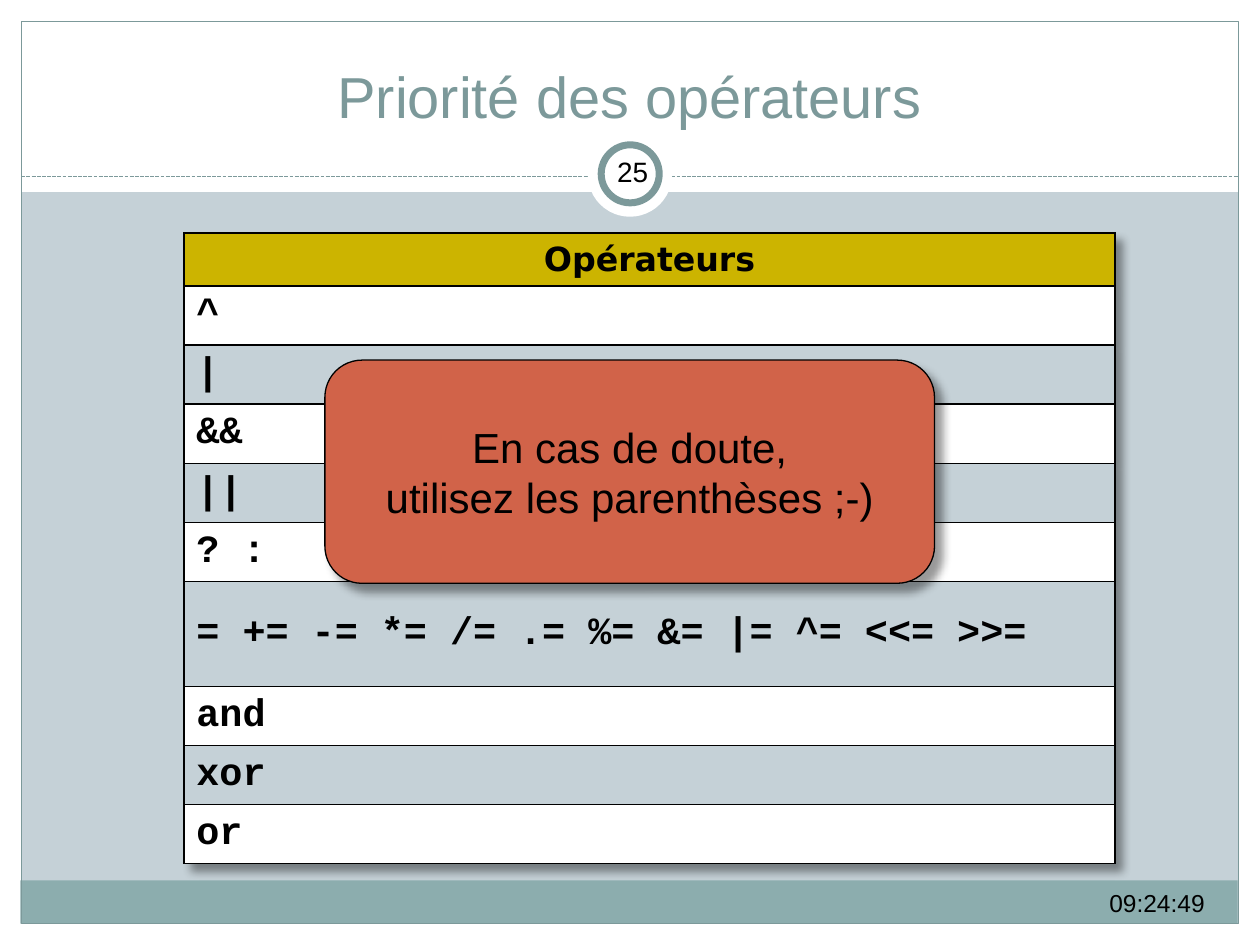
from lxml import etree
from pptx import Presentation
from pptx import util as u
from pptx.dml.color import RGBColor
from pptx.enum import dml, shapes, text
from pptx.oxml import parse_xml
from pptx.oxml.ns import nsdecls, qn

Cm, Pt = u.Cm, u.Pt
kind = shapes.MSO_SHAPE
mid = text.MSO_ANCHOR.MIDDLE
left, mid_al, right = text.PP_ALIGN.LEFT, text.PP_ALIGN.CENTER, text.PP_ALIGN.RIGHT
hues = {"white": "FFFFFF", "black": "000000", "mist": "C5D1D7", "teal": "7C999A",
        "band": "8CADAE", "gold": "CCB400", "brick": "D16349"}
rgb = {name: RGBColor.from_string(code) for name, code in hues.items()}


def write(frame, words, size=16, font="Arial", hue="black", bold=False,
          align=mid_al, anchor=mid):
    frame.word_wrap = True
    frame.vertical_anchor = anchor
    for i, line in enumerate(words.split("\n")):
        para = frame.paragraphs[0] if i == 0 else frame.add_paragraph()
        para.alignment = align
        run = para.add_run()
        run.text = line
        run.font.size, run.font.name, run.font.bold = Pt(size), font, bold
        run.font.color.rgb = rgb[hue]


def draw(form, x, y, w, h, fill=None, line=None, width=0.75):
    shape = slide.shapes.add_shape(form, Cm(x), Cm(y), Cm(w), Cm(h))
    shape.shadow.inherit = False
    if fill:
        shape.fill.solid()
        shape.fill.fore_color.rgb = rgb[fill]
    else:
        shape.fill.background()
    if line:
        shape.line.color.rgb = rgb[line]
        shape.line.width = Pt(width)
    else:
        shape.line.fill.background()
    return shape


deck = Presentation()
deck.slide_width, deck.slide_height = Cm(25.4), Cm(19.05)
slide = deck.slides.add_slide(deck.slide_layouts[6])
slide.background.fill.solid()
slide.background.fill.fore_color.rgb = rgb["mist"]

# White margins, footer band and frame
for x, y, w, h in [(0, 18.62, 25.4, 0.43), (0, 0, 25.4, 3.87),
                   (0, 0, 0.43, 19.05), (24.97, 0, 0.43, 19.05)]:
    draw(kind.RECTANGLE, x, y, w, h, "white")
draw(kind.RECTANGLE, 0.41, 17.75, 24.54, 0.87, "band")
draw(kind.RECTANGLE, 0.43, 0.43, 24.54, 18.19, line="teal")

# Dashed rule under the title
rule = slide.shapes.add_connector(shapes.MSO_CONNECTOR.STRAIGHT,
                                  Cm(0.43), Cm(3.56), Cm(24.97), Cm(3.56))
rule.line.color.rgb = rgb["teal"]
rule.line.width = Pt(0.75)
rule.line.dash_style = dml.MSO_LINE.SQUARE_DOT
etree.SubElement(rule.element.spPr, qn("a:effectLst"))

# Ring for the page number
draw(kind.OVAL, 11.85, 2.67, 1.7, 1.7, "white")
draw(kind.OVAL, 12.12, 2.92, 1.17, 1.17, "white", "teal", 4)

# Title, time and page number
for words, x, y, w, h, form in [
    ("Priorité des opérateurs", 0.84, 0.64, 23.7, 2.11,
     dict(size=33, hue="teal", anchor=text.MSO_ANCHOR.BOTTOM)),
    ("09:24:49", 16.08, 17.78, 8.46, 1.02,
     dict(size=14, align=right, anchor=text.MSO_ANCHOR.TOP)),
    ("25", 12.12, 2.84, 1.27, 1.22, {}),
]:
    frame = slide.shapes.add_textbox(Cm(x), Cm(y), Cm(w), Cm(h)).text_frame
    if words == "25":
        frame.margin_left = frame.margin_right = Cm(0.13)
    write(frame, words, **form)

# Table of operators
assign = "= += -= *= /= .= %= &= |= ^= <<= >>="
rows = ["Opérateurs", "^", "|", "&&", "||", "? :", assign, "and", "xor", "or"]
high = {"Opérateurs": 1.02, assign: 2.11}
grid = slide.shapes.add_table(len(rows), 1, Cm(3.71), Cm(4.7), Cm(18.77), Cm(12.5))
table = grid.table
for i, words in enumerate(rows):
    table.rows[i].height = Cm(high.get(words, 1.17))
    cell = table.cell(i, 0)
    cell.margin_left = cell.margin_right = Cm(0.25)
    cell.margin_top = cell.margin_bottom = Cm(0.13)
    cell.vertical_anchor = mid
    if i == 0:
        write(cell.text_frame, words, size=19, font="DejaVu Sans", bold=True)
        fill = "gold"
    else:
        write(cell.text_frame, words, size=22, font="Courier New", bold=True, align=left)
        fill = "white" if i % 2 else "mist"
    cell.fill.solid()
    cell.fill.fore_color.rgb = rgb[fill]
    props = cell._tc.get_or_add_tcPr()
    for n, side in enumerate(["lnL", "lnR", "lnT", "lnB"]):
        props.insert(n, parse_xml(
            f'<a:{side} {nsdecls("a")} w="{Pt(1)}"><a:solidFill>'
            f'<a:srgbClr val="{hues["black"]}"/></a:solidFill></a:{side}>'))

# Callout over the table
note = draw(kind.ROUNDED_RECTANGLE, 6.55, 7.26, 12.29, 4.5, "brick", "black")
frame = note.text_frame
frame.margin_left = frame.margin_right = frame.margin_top = frame.margin_bottom = Cm(1)
write(frame, "En cas de doute,\nutilisez les parenthèses ;-)", size=24)
frame.word_wrap = False

# Soft shadow on table and callout
glow = etree.Element(qn("a:effectLst"))
table._tbl.tblPr.insert(0, glow)
for effect in (glow, note.element.spPr.find(qn("a:effectLst"))):
    effect.append(parse_xml(
        f'<a:outerShdw {nsdecls("a")} blurRad="{Pt(5)}" dist="{Pt(6)}" dir="2700000" '
        f'algn="tl" rotWithShape="0"><a:srgbClr val="{hues["black"]}">'
        '<a:alpha val="40000"/></a:srgbClr></a:outerShdw>'))

deck.save("out.pptx")
